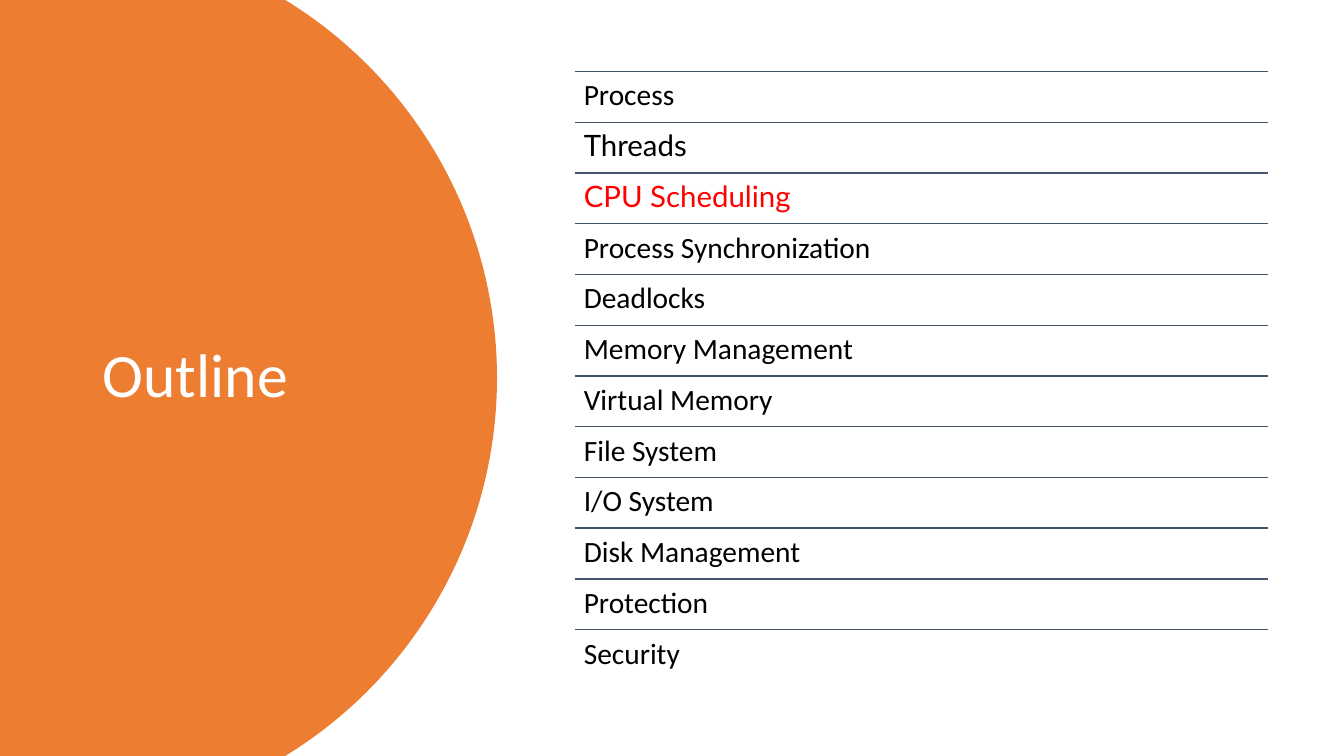
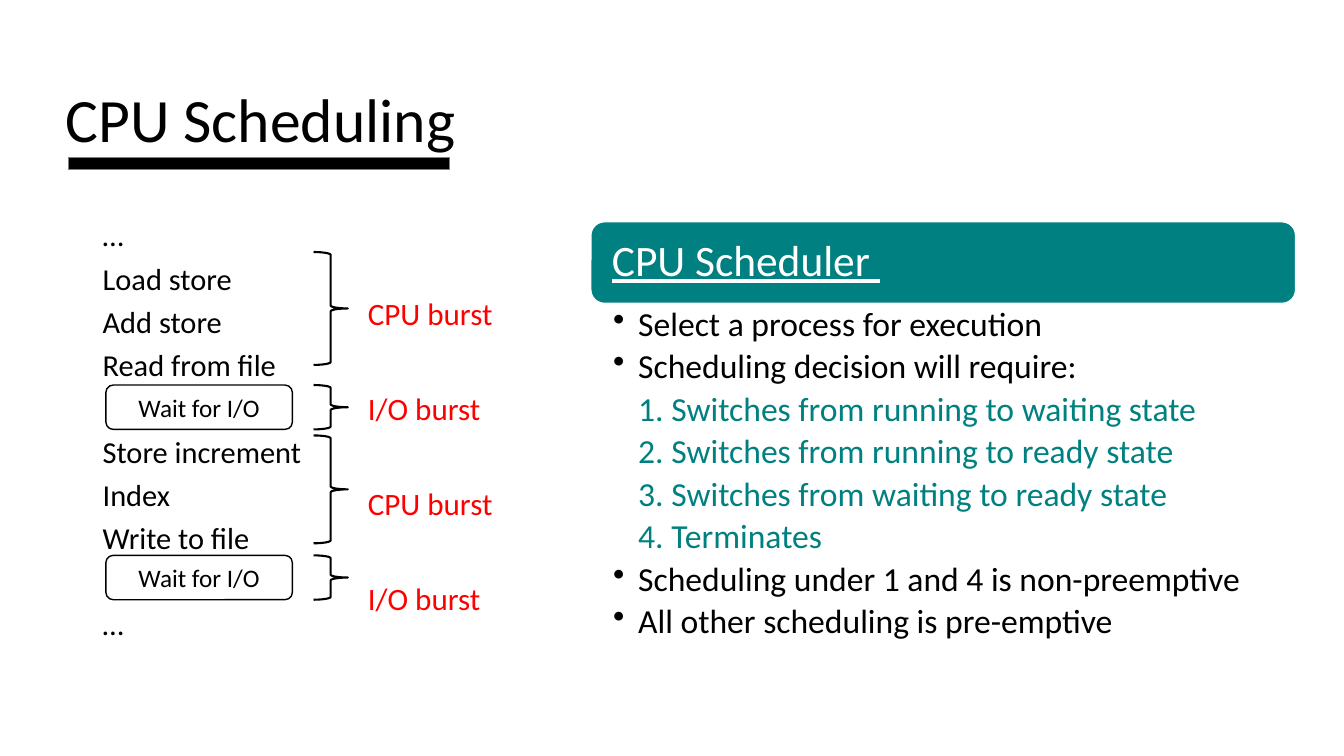
import math

import lxml.etree
import pptx
import pptx.dml.color
import pptx.enum.shapes
import pptx.enum.text
import pptx.oxml.ns
import pptx.util

RGBColor = pptx.dml.color.RGBColor
SHAPE = pptx.enum.shapes.MSO_SHAPE
ALIGN = pptx.enum.text.PP_ALIGN
ANCHOR = pptx.enum.text.MSO_ANCHOR
Pt = pptx.util.Pt

EMU_PER_PX = 9144
SLIDE_W, SLIDE_H = 1333, 750

BLACK = RGBColor(0, 0, 0)
WHITE = RGBColor(255, 255, 255)
ORANGE = RGBColor(0xED, 0x7D, 0x31)
SLATE = RGBColor(0x44, 0x54, 0x6A)
RED = RGBColor(255, 0, 0)
TEAL = RGBColor(0, 0x80, 0x80)
GREY = RGBColor(0x80, 0x80, 0x80)

BODY_FONT = "Calibri"
TOPIC_SIZE = 21
TOPICS = [
    ("Process", BODY_FONT, BLACK),
    ("Threads", "Lato", BLACK),
    ("CPU Scheduling", "Lato", RED),
    ("Process Synchronization", BODY_FONT, BLACK),
    ("Deadlocks", BODY_FONT, BLACK),
    ("Memory Management", BODY_FONT, BLACK),
    ("Virtual Memory", BODY_FONT, BLACK),
    ("File System", BODY_FONT, BLACK),
    ("I/O System", BODY_FONT, BLACK),
    ("Disk Management", BODY_FONT, BLACK),
    ("Protection", BODY_FONT, BLACK),
    ("Security", BODY_FONT, BLACK),
]
INSTRUCTIONS = [
    ("…", 0), ("Load store", 10), ("Add store", 10), ("Read from file", 10),
    ("Store increment", 41), ("Index", 10), ("Write to file", 10), ("…", 41),
]
BURSTS = ["CPU burst", "I/O burst", "CPU burst", "I/O burst"]
BRACES = [(33, 112), (165, 44), (215, 107), (334, 44)]
WAITS = [165, 334]
SCHEDULER_POINTS = [
    ("Select a process for execution", 1),
    ("Scheduling decision will require:", 1),
    ("Switches from running to waiting state", 2),
    ("Switches from running to ready state", 2),
    ("Switches from waiting to ready state", 2),
    ("Terminates", 2),
    ("Scheduling under 1 and 4 is non-preemptive", 1),
    ("All other scheduling is pre-emptive", 1),
]
POINT_LEVELS = {
    1: (25, -25, "buChar", {"char": "•"}, BLACK),
    2: (58, -33, "buAutoNum", {"type": "arabicPeriod"}, TEAL),
}


def px(length):
    return round(length * EMU_PER_PX)


def apply_formats(target, formats):
    for attribute, value in formats.items():
        setattr(target, attribute, value)


def set_frame(shape, margins=(10, 5, 10, 5), anchor=ANCHOR.TOP):
    sides = ("margin_left", "margin_top", "margin_right", "margin_bottom")
    apply_formats(shape.text_frame, {
        "word_wrap": True,
        "auto_size": pptx.enum.text.MSO_AUTO_SIZE.NONE,
        "vertical_anchor": anchor,
        **{side: px(margin) for side, margin in zip(sides, margins)},
    })


def write_line(shape, text, size, color, font=BODY_FONT, underline=None, **layout):
    frame = shape.text_frame
    paragraph = frame.paragraphs[0]
    if paragraph.runs:
        paragraph = frame.add_paragraph()
    apply_formats(paragraph, {"alignment": ALIGN.LEFT, "line_spacing": 0.9, **layout})
    run = paragraph.add_run()
    run.text = text
    apply_formats(run.font, {"size": Pt(size), "name": font, "underline": underline})
    run.font.color.rgb = color
    return paragraph


def add_text_box(slide, box, **frame):
    shape = slide.shapes.add_textbox(*map(px, box))
    set_frame(shape, **frame)
    return shape


def style_shape(shape, fill, line, width=1):
    shape.shadow.inherit = False
    if fill is None:
        shape.fill.background()
    else:
        shape.fill.solid()
        shape.fill.fore_color.rgb = fill
    if line is None:
        shape.line.fill.background()
    else:
        shape.line.color.rgb = line
        shape.line.width = Pt(width)
    return shape


def add_preset(slide, preset, box, fill, line, width=1):
    shape = slide.shapes.add_shape(preset, *map(px, box))
    return style_shape(shape, fill, line, width)


def add_rule(slide, left, top, width):
    rule = slide.shapes.add_connector(
        pptx.enum.shapes.MSO_CONNECTOR.STRAIGHT,
        px(left), px(top), px(left + width), px(top))
    rule.line.color.rgb = SLATE
    rule.line.width = Pt(1)
    properties = rule._element.spPr
    lxml.etree.SubElement(properties, pptx.oxml.ns.qn("a:effectLst"))


def add_titled_slide(deck, text, box, color):
    slide = deck.slides.add_slide(deck.slide_layouts[5])
    title = slide.shapes.title
    edges = ("left", "top", "width", "height")
    apply_formats(title, dict(zip(edges, map(px, box))))
    set_frame(title, anchor=ANCHOR.MIDDLE)
    write_line(title, text, 44, color)
    return slide


def add_round_panel(slide, box):
    left, top, width, height = box
    shoulder = 283
    bulge = width - shoulder
    radius = (bulge ** 2 + (height / 2) ** 2) / (2 * bulge)
    center_x, center_y = left + width - radius, top + height / 2
    sweep = math.asin(height / 2 / radius)
    steps = 80
    angles = [sweep * (2 * step / steps - 1) for step in range(steps + 1)]
    arc = [(px(center_x + radius * math.cos(angle)),
            px(center_y + radius * math.sin(angle))) for angle in angles]
    outline = slide.shapes.build_freeform(px(left), px(top), scale=1.0)
    outline.add_line_segments(arc + [(px(left), px(top + height))], close=True)
    panel = style_shape(outline.convert_to_shape(), ORANGE, None)
    slide.shapes._spTree.insert(2, panel._element)


def add_topic_list(slide, box):
    left, top, width, height = box
    row_height = height / len(TOPICS)
    for row, (topic, font, color) in enumerate(TOPICS):
        row_top = top + row * row_height
        add_rule(slide, left, row_top, width)
        label = add_text_box(slide, (left, row_top, width, row_height),
                             margins=(9, 9, 9, 9))
        write_line(label, topic, TOPIC_SIZE, color, font)


def add_burst_diagram(slide, box):
    left, top, width, height = box
    program = add_text_box(slide, (left, top, 253, height))
    for instruction, gap in INSTRUCTIONS:
        write_line(program, instruction, 21.7, BLACK,
                   line_spacing=0.8, space_before=Pt(gap))
    for offset in WAITS:
        wait = add_preset(slide, SHAPE.ROUNDED_RECTANGLE,
                          (left + 13, top + offset, 185, 44), WHITE, BLACK)
        set_frame(wait, anchor=ANCHOR.MIDDLE)
        write_line(wait, "Wait for I/O", 18, BLACK,
                   alignment=ALIGN.CENTER, line_spacing=1.0)
    for offset, span in BRACES:
        add_preset(slide, SHAPE.RIGHT_BRACE,
                   (left + 219, top + offset, 34, span), None, BLACK, 1.5)
    labels = add_text_box(slide, (left + 263, top + 74, width - 263, 334))
    for index, burst in enumerate(BURSTS):
        write_line(labels, burst, 22.2, RED, space_before=Pt(44 if index else 0))


def add_scheduler_panel(slide, box):
    left, top, width, height = box
    header_height = 81
    header = add_preset(slide, SHAPE.ROUNDED_RECTANGLE,
                        (left, top, width, header_height), TEAL, WHITE)
    set_frame(header, margins=(17, 17, 17, 17), anchor=ANCHOR.MIDDLE)
    write_line(header, "CPU Scheduler ", 31, WHITE, underline=True)
    points = add_text_box(
        slide, (left, top + header_height, width, height - header_height),
        margins=(22, 4, 24, 4))
    for point, level in SCHEDULER_POINTS:
        margin, indent, bullet, attributes, color = POINT_LEVELS[level]
        paragraph = write_line(points, point, 24, color, space_after=Pt(4.4))
        properties = paragraph._p.get_or_add_pPr()
        properties.set("marL", str(px(margin)))
        properties.set("indent", str(px(indent)))
        lxml.etree.SubElement(properties, pptx.oxml.ns.qn("a:" + bullet), attributes)


def build_outline(deck):
    slide = add_titled_slide(deck, "Outline", (92, 70, 323, 609), WHITE)
    add_round_panel(slide, (0, 0, 493, SLIDE_H))
    add_topic_list(slide, (570, 71, 688, 604))


def build_scheduling(deck):
    slide = add_titled_slide(deck, "CPU Scheduling", (55, 81, 1102, 82), BLACK)
    add_burst_diagram(slide, (92, 217, 417, 437))
    add_scheduler_panel(slide, (586, 220, 699, 446))
    add_preset(slide, SHAPE.RECTANGLE, (68, 156, 378, 12), BLACK, GREY)


def main():
    deck = pptx.Presentation()
    deck.slide_width, deck.slide_height = px(SLIDE_W), px(SLIDE_H)
    build_outline(deck)
    build_scheduling(deck)
    deck.save("out.pptx")


if __name__ == "__main__":
    main()
